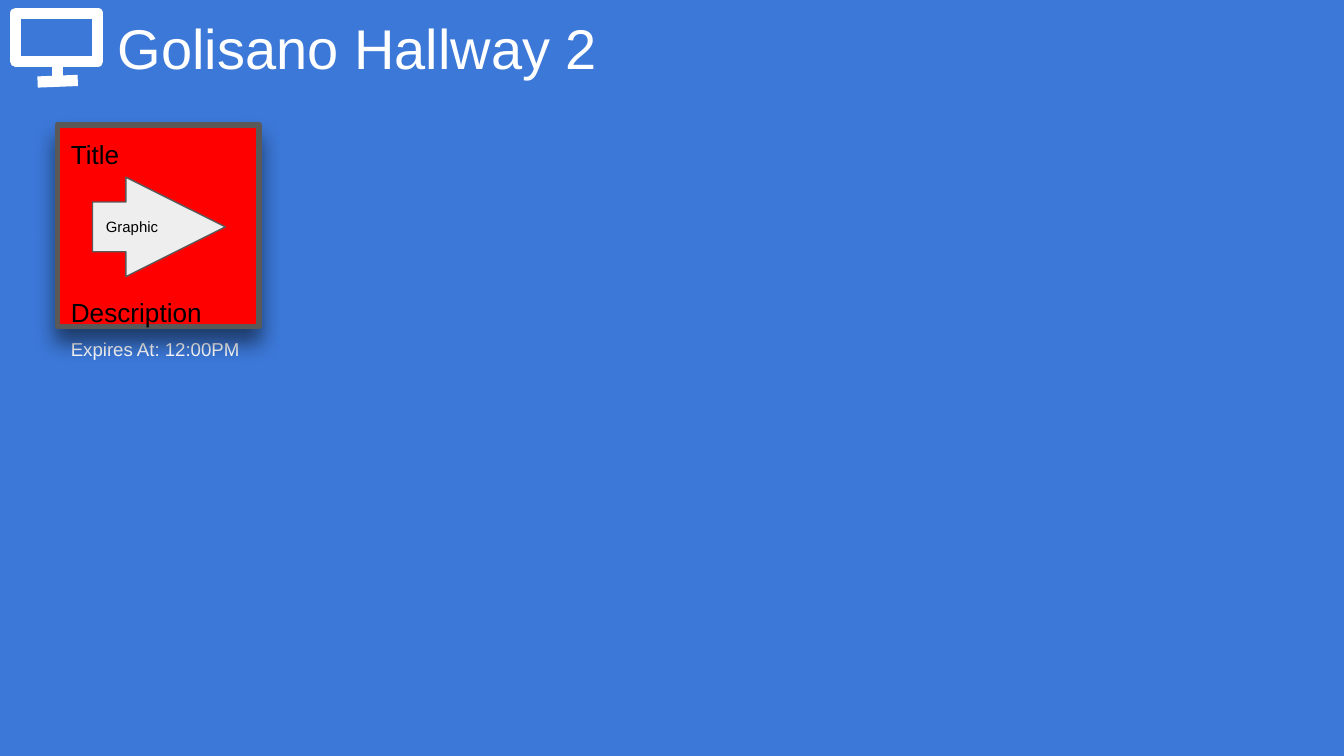
import pptx
import pptx.dml.color
import pptx.enum.shapes
import pptx.enum.text
import pptx.oxml
import pptx.util
from pptx.util import Cm

NS = 'xmlns:a="http://schemas.openxmlformats.org/drawingml/2006/main"'
SHAPE = pptx.enum.shapes.MSO_SHAPE
ANCHOR = pptx.enum.text.MSO_ANCHOR


def rgb(color):
    return pptx.dml.color.RGBColor.from_string(color)


def write(sp, text, size, color="000000", anchor=ANCHOR.TOP, gap=0):
    tf = sp.text_frame
    tf.word_wrap = True
    tf.vertical_anchor = anchor
    tf.margin_left = tf.margin_right = tf.margin_top = tf.margin_bottom = Cm(0.25)
    tf.text = text
    for i, p in enumerate(tf.paragraphs):
        p.alignment = pptx.enum.text.PP_ALIGN.LEFT
        p.space_before = pptx.util.Pt(gap if i else 0)
        r = p.runs[0]
        r.font.name = "Arial"
        r.font.size = pptx.util.Pt(size)
        r.font.color.rgb = rgb(color)


prs = pptx.Presentation()
prs.slide_width, prs.slide_height = Cm(25.4), Cm(14.29)
s = prs.slides.add_slide(prs.slide_layouts[6])
s.background.fill.solid()
s.background.fill.fore_color.rgb = rgb("3C78D8")

title = s.shapes.add_textbox(Cm(1.98), Cm(0), Cm(18.34), Cm(2.36))
write(title, "Golisano Hallway 2", size=30, color="FFFFFF")

screen = s.shapes.add_shape(SHAPE.RECTANGLE, Cm(0.3), Cm(0.25), Cm(1.55), Cm(0.91))
screen.shadow.inherit = False
screen.fill.background()
screen.line.color.rgb = rgb("FFFFFF")
screen.line.width = pptx.util.Pt(6)
screen.line._get_or_add_ln().append(pptx.oxml.parse_xml(f"<a:round {NS}/>"))

for x1, y1, x2, y2 in [(1.09, 1.17, 1.09, 1.52), (0.71, 1.55, 1.47, 1.52)]:
    stand = s.shapes.add_connector(
        pptx.enum.shapes.MSO_CONNECTOR.STRAIGHT, Cm(x1), Cm(y1), Cm(x2), Cm(y2))
    stand.line.color.rgb = rgb("FFFFFF")
    stand.line.width = pptx.util.Pt(6)
    stand._element.spPr.append(pptx.oxml.parse_xml(f"<a:effectLst {NS}/>"))

expiry = s.shapes.add_textbox(Cm(1.09), Cm(6.17), Cm(3.81), Cm(0.79))
write(expiry, "Expires At: 12:00PM", size=10, color="FFFFFF")

card = s.shapes.add_shape(SHAPE.RECTANGLE, Cm(1.09), Cm(2.36), Cm(3.81), Cm(3.81))
arrow = s.shapes.add_shape(SHAPE.RIGHT_ARROW, Cm(1.75), Cm(3.35), Cm(2.51), Cm(1.88))
arrow.adjustments[0], arrow.adjustments[1] = 0.5, 1
for sp, color, width in [(card, "FF0000", 3), (arrow, "EEEEEE", 0.75)]:
    sp.shadow.inherit = False
    sp.fill.solid()
    sp.fill.fore_color.rgb = rgb(color)
    sp.line.color.rgb = rgb("595959")
    sp.line.width = pptx.util.Pt(width)

card._element.spPr.effectLst.append(pptx.oxml.parse_xml(
    f'<a:outerShdw {NS} blurRad="{pptx.util.Pt(11.2)}" dist="{pptx.util.Pt(7.5)}" '
    'dir="5400000" algn="bl" rotWithShape="0">'
    '<a:srgbClr val="000000"><a:alpha val="50000"/></a:srgbClr></a:outerShdw>'))
write(card, "Title\nDescription", size=14, gap=68)
write(arrow, "Graphic", size=8, anchor=ANCHOR.MIDDLE)

prs.save("out.pptx")
